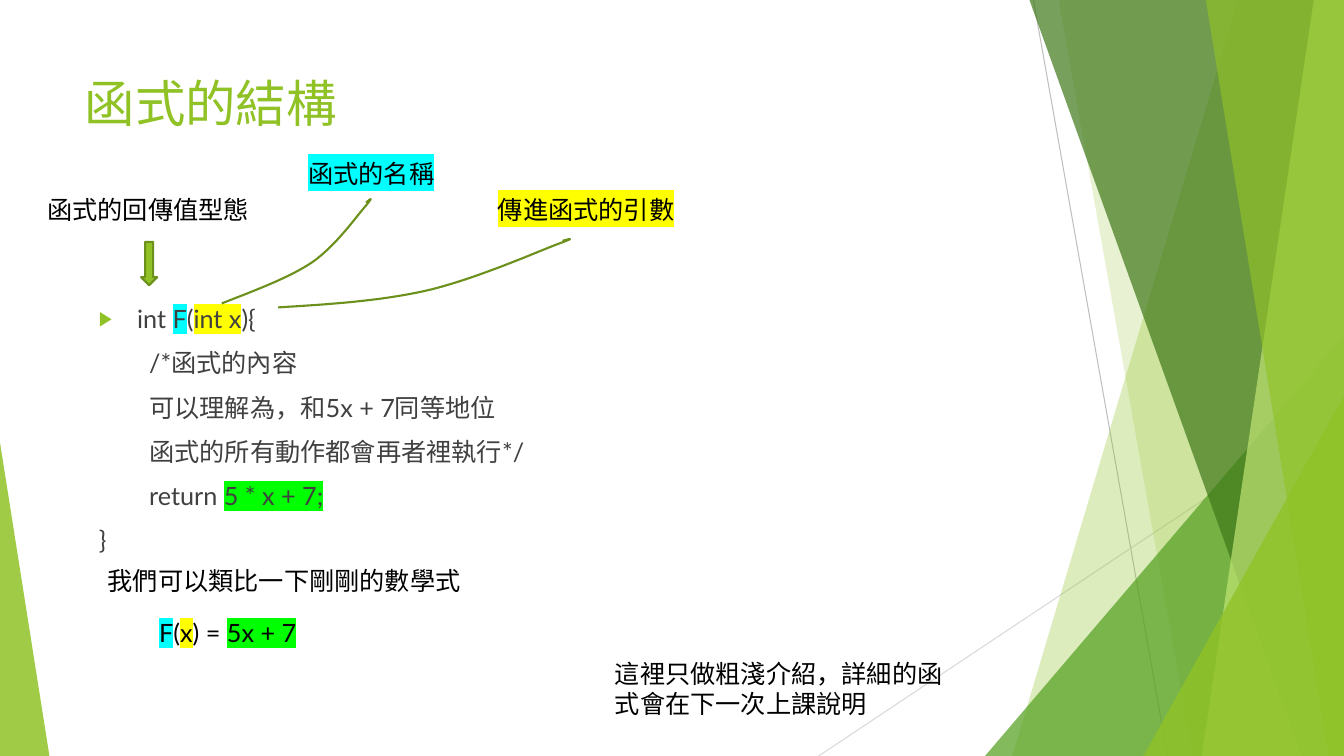
"""Build the slide that explains the structure of a C function."""
from dataclasses import dataclass
from typing import NamedTuple

from lxml import etree
from pptx import Presentation
from pptx import util as u
from pptx.dml import color, fill
from pptx.enum import shapes, text
from pptx.oxml import ns
from pptx.shapes import autoshape
from pptx.slide import Slide
from pptx.text import text as txt

Point = tuple[float, float]
Box = tuple[float, float, float, float]


@dataclass(frozen=True)
class Theme:
    """Colours, font and type sizes of the slide."""
    font: str = "Lato"
    title_size: float = 36
    text_size: float = 18
    paragraph_gap: float = 10
    green: str = "90C226"
    leaf: str = "54A021"
    forest: str = "3F7819"
    lime: str = "C0E474"
    outline: str = "6B901C"
    code: str = "404040"
    label: str = "000000"
    name_mark: str = "00FFFF"
    argument_mark: str = "FFFF00"
    result_mark: str = "00FF00"


THEME = Theme()
WIDTH, HEIGHT = 13.33, 7.5


class Piece(NamedTuple):
    """A stretch of text with an optional highlight."""
    words: str
    mark: str | None = None


class CodeLine(NamedTuple):
    """A line of the code list with its left indent."""
    pieces: list[Piece]
    indent: float = 0.5


class Ray(NamedTuple):
    """A thin background line."""
    start: Point
    end: Point
    tint: str


class Facet(NamedTuple):
    """A translucent background polygon."""
    corners: list[Point]
    tint: str
    opacity: int


class Wedge(NamedTuple):
    """A translucent right triangle standing on the bottom edge."""
    box: Box
    apex: float
    tint: str
    opacity: int


class Curve(NamedTuple):
    """A chain of cubic Bézier pieces that share their end points."""
    points: list[Point]


class Label(NamedTuple):
    """A text box beside the code."""
    box: Box
    pieces: list[Piece]
    wrap: bool = False


BACKDROP = [
    Ray((10.25, 0), (11.58, HEIGHT), "BFBFBF"),
    Ray((WIDTH, 4.03), (8.12, HEIGHT), "D9D9D9"),
    Facet([(12.28, 0), (WIDTH, 0), (WIDTH, HEIGHT), (10.04, HEIGHT)], THEME.green, 30),
    Facet([(10.5, 0), (WIDTH, 0), (WIDTH, HEIGHT), (11.83, HEIGHT)], THEME.green, 20),
    Wedge((9.77, 3.33, 3.56, 4.17), 1, THEME.leaf, 72),
    Facet([(10.21, 0), (WIDTH, 0), (WIDTH, HEIGHT), (12.91, HEIGHT)], THEME.forest, 70),
    Facet([(13.03, 0), (WIDTH, 0), (WIDTH, HEIGHT), (11.92, HEIGHT)], THEME.lime, 70),
    Facet([(11.96, 0), (WIDTH, 0), (WIDTH, HEIGHT), (13.18, HEIGHT)], THEME.green, 65),
    Wedge((11.34, 3.93, 1.99, 3.57), 1, THEME.green, 80),
    Wedge((0, 4.39, 0.49, 3.11), 0, THEME.green, 85),
]
CODE = [
    CodeLine([Piece("int "), Piece("F", THEME.name_mark), Piece("("),
              Piece("int x", THEME.argument_mark), Piece("){")], 0.38),
    CodeLine([Piece("/*函式的內容")]),
    CodeLine([Piece("可以理解為，和5x + 7同等地位")]),
    CodeLine([Piece("函式的所有動作都會再者裡執行*/")]),
    CodeLine([Piece("return "), Piece("5 * x + 7;", THEME.result_mark)]),
    CodeLine([Piece("}")], 0),
]
NOTES = [
    Label((0.37, 1.88, 2.22, 0.4), [Piece("函式的回傳值型態")]),
    Curve([(2.2, 3.01), (2.53, 2.88), (2.86, 2.76), (3.1, 2.6), (3.34, 2.43),
           (3.54, 2.14), (3.63, 2.04), (3.71, 1.94), (3.67, 1.98), (3.63, 2.01)]),
    Label((2.96, 1.52, 1.46, 0.4), [Piece("函式的名稱", THEME.name_mark)]),
    Curve([(2.76, 3.05), (3.25, 3.02), (3.74, 2.99), (4.2, 2.89), (4.66, 2.79),
           (5.28, 2.52), (5.51, 2.43), (5.73, 2.35), (5.65, 2.37), (5.58, 2.39)]),
    Label((4.84, 1.88, 1.97, 0.4), [Piece("傳進函式的引數", THEME.argument_mark)]),
    Label((0.97, 5.56, 3.74, 0.4), [Piece("我們可以類比一下剛剛的數學式")]),
    Label((1.48, 6.08, 1.61, 0.4),
          [Piece("F", THEME.name_mark), Piece("("), Piece("x", THEME.argument_mark),
           Piece(") = "), Piece("5x + 7", THEME.result_mark)]),
    Label((6, 6.48, 3.63, 0.71),
          [Piece("這裡只做粗淺介紹，詳細的函式會在下一次上課說明")], True),
]


def rgb(tint: str) -> color.RGBColor:
    return color.RGBColor.from_string(tint)


def inches(values: tuple[float, ...]) -> list[u.Length]:
    return [u.Inches(value) for value in values]


def add_xml(parent: etree._Element, tag: str, **attributes: str) -> etree._Element:
    return etree.SubElement(parent, ns.qn(tag), attributes)


def paint(surface: fill.FillFormat, tint: str, opacity: int = 100) -> None:
    surface.solid()
    surface.fore_color.rgb = rgb(tint)
    if opacity < 100:
        tone = surface._xPr.find(".//" + ns.qn("a:srgbClr"))
        add_xml(tone, "a:alpha", val=str(opacity * 1000))


def write(paragraph: txt._Paragraph, pieces: list[Piece], tint: str, size: float) -> None:
    for piece in pieces:
        run = paragraph.add_run()
        run.text = piece.words
        run.font.size = u.Pt(size)
        run.font.name = THEME.font
        run.font.color.rgb = rgb(tint)
        if piece.mark:
            highlight = etree.Element(ns.qn("a:highlight"))
            add_xml(highlight, "a:srgbClr", val=piece.mark)
            run.font._element.find(ns.qn("a:solidFill")).addnext(highlight)


def draw_ray(slide: Slide, ray: Ray) -> None:
    line = slide.shapes.add_connector(
        shapes.MSO_CONNECTOR.STRAIGHT, *inches(ray.start + ray.end))
    line.line.color.rgb = rgb(ray.tint)
    line.line.width = u.Pt(0.75)
    add_xml(line._element.spPr, "a:effectLst")


def trace(slide: Slide, points: list[Point], close: bool) -> autoshape.Shape:
    start, *rest = [tuple(inches(point)) for point in points]
    builder = slide.shapes.build_freeform(*start)
    builder.add_line_segments(rest, close=close)
    outline = builder.convert_to_shape()
    outline.shadow.inherit = False
    return outline


def draw_facet(slide: Slide, facet: Facet) -> None:
    polygon = trace(slide, facet.corners, True)
    paint(polygon.fill, facet.tint, facet.opacity)
    polygon.line.fill.background()


def draw_wedge(slide: Slide, wedge: Wedge) -> None:
    triangle = slide.shapes.add_shape(
        shapes.MSO_SHAPE.ISOSCELES_TRIANGLE, *inches(wedge.box))
    triangle.adjustments[0] = wedge.apex
    triangle.shadow.inherit = False
    paint(triangle.fill, wedge.tint, wedge.opacity)
    triangle.line.fill.background()


def bezier(a: Point, b: Point, c: Point, d: Point, t: float) -> Point:
    s = 1 - t
    x, y = (s**3 * p + 3 * s * s * t * q + 3 * s * t * t * r + t**3 * e
            for p, q, r, e in zip(a, b, c, d))
    return x, y


def draw_curve(slide: Slide, curve: Curve, steps: int = 16) -> None:
    points = curve.points[:1] + [
        bezier(*curve.points[i:i + 4], step / steps)
        for i in range(0, len(curve.points) - 1, 3) for step in range(1, steps + 1)]
    stroke = trace(slide, points, False)
    stroke.fill.background()
    stroke.line.color.rgb = rgb(THEME.outline)
    stroke.line.width = u.Pt(1.5)


def draw_label(slide: Slide, label: Label) -> None:
    frame = slide.shapes.add_textbox(*inches(label.box)).text_frame
    frame.word_wrap = label.wrap
    frame.auto_size = text.MSO_AUTO_SIZE.SHAPE_TO_FIT_TEXT
    write(frame.paragraphs[0], label.pieces, THEME.label, THEME.text_size)


def draw_return_arrow(slide: Slide) -> None:
    arrow = slide.shapes.add_shape(
        shapes.MSO_SHAPE.DOWN_ARROW, *inches((1.4, 2.4, 0.16, 0.43)))
    arrow.shadow.inherit = False
    paint(arrow.fill, THEME.green)
    arrow.line.color.rgb = rgb(THEME.outline)
    arrow.line.width = u.Pt(1.5)


def place(slide: Slide, index: int, box: Box) -> txt.TextFrame:
    holder = slide.placeholders[index]
    holder.left, holder.top, holder.width, holder.height = inches(box)
    slide.shapes.element.append(holder.element)
    frame = holder.text_frame
    frame.vertical_anchor = text.MSO_ANCHOR.TOP
    frame.auto_size = text.MSO_AUTO_SIZE.NONE
    frame.word_wrap = True
    return frame


def fill_title(slide: Slide) -> None:
    heading = place(slide, 0, (0.74, 0.67, 9.4, 1.44)).paragraphs[0]
    heading.alignment = text.PP_ALIGN.LEFT
    write(heading, [Piece("函式的結構")], THEME.green, THEME.title_size)


def fill_code(slide: Slide) -> None:
    frame = place(slide, 1, (0.88, 2.96, 9.4, 4.24))
    for number, line in enumerate(CODE):
        paragraph = frame.add_paragraph() if number else frame.paragraphs[0]
        layout = paragraph._p.get_or_add_pPr()
        layout.set("marL", str(u.Inches(line.indent)))
        layout.set("indent", str(0 if number else -u.Inches(line.indent)))
        if number:
            add_xml(layout, "a:buNone")
        else:
            add_xml(add_xml(layout, "a:buClr"), "a:srgbClr", val=THEME.green)
            add_xml(layout, "a:buSzPct", val="80000")
            add_xml(layout, "a:buChar", char="▶")
        paragraph.space_before = u.Pt(THEME.paragraph_gap if number else 0)
        write(paragraph, line.pieces, THEME.code, THEME.text_size)


def main() -> None:
    deck = Presentation()
    deck.slide_width, deck.slide_height = inches((WIDTH, HEIGHT))
    slide = deck.slides.add_slide(deck.slide_layouts[1])
    painters = {Ray: draw_ray, Facet: draw_facet, Wedge: draw_wedge,
                Curve: draw_curve, Label: draw_label}
    for part in BACKDROP:
        painters[type(part)](slide, part)
    fill_title(slide)
    fill_code(slide)
    draw_return_arrow(slide)
    for part in NOTES:
        painters[type(part)](slide, part)
    deck.save("out.pptx")


if __name__ == "__main__":
    main()
